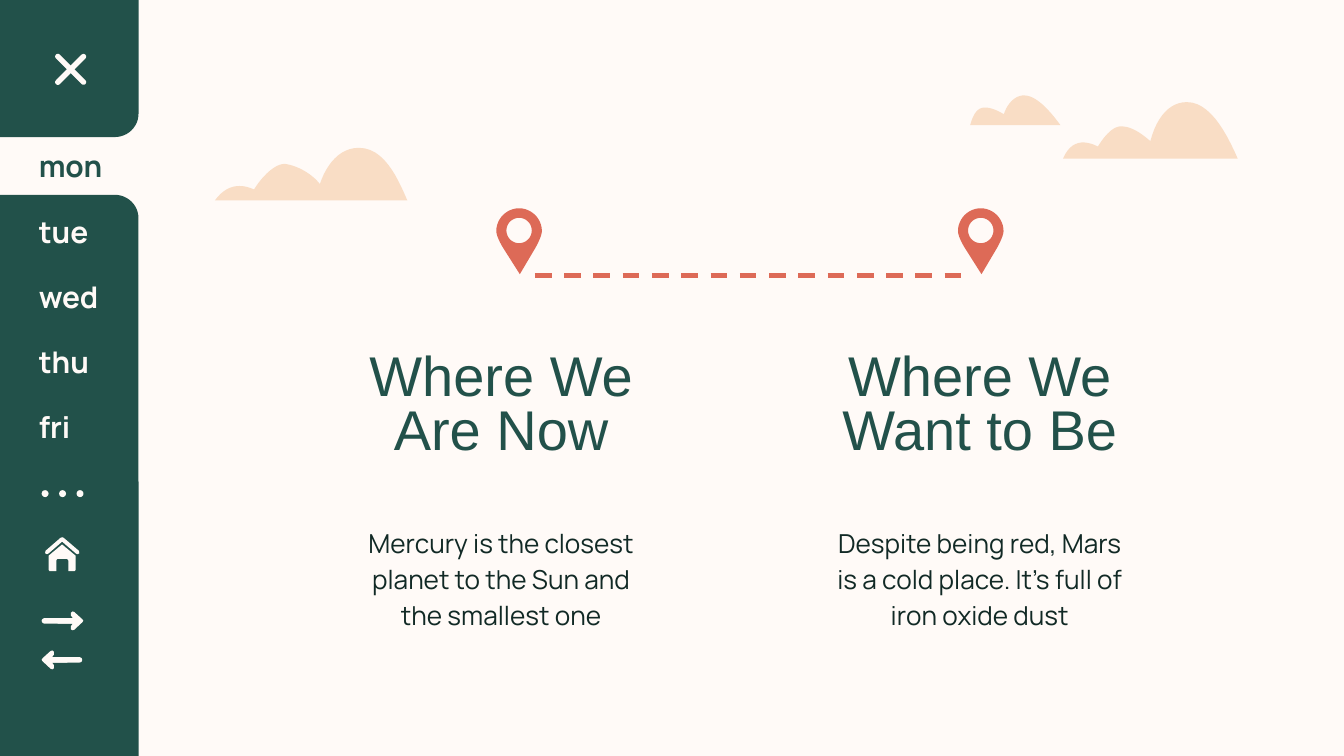
"""Build a weekly planner slide comparing where we are with where we want to be."""
from math import cos, pi, sin

from lxml import etree
from pptx import Presentation
from pptx.dml.color import RGBColor
from pptx.enum.dml import MSO_LINE
from pptx.enum.shapes import MSO_CONNECTOR, MSO_SHAPE
from pptx.enum.text import MSO_ANCHOR, MSO_AUTO_SIZE, PP_ALIGN
from pptx.oxml.ns import qn
from pptx.util import Pt

CENTER, LEFT = PP_ALIGN.CENTER, PP_ALIGN.LEFT
TOP, MIDDLE = MSO_ANCHOR.TOP, MSO_ANCHOR.MIDDLE
FIT, FIXED = MSO_AUTO_SIZE.TEXT_TO_FIT_SHAPE, MSO_AUTO_SIZE.NONE
ROUND, OVAL, CORNER = MSO_SHAPE.ROUNDED_RECTANGLE, MSO_SHAPE.OVAL, MSO_SHAPE.ROUND_1_RECTANGLE

COLORS = {"cream": "FFFAF7", "green": "22514A", "ink": "112925", "peach": "F9DDC5", "coral": "DD6A57"}
RGB = {name: RGBColor.from_string(value) for name, value in COLORS.items()}
TITLE = {
    "frame": {"vertical_anchor": TOP, "auto_size": FIT},
    "paragraph": {"alignment": CENTER, "line_spacing": 0.8},
    "font": {"name": "Arial", "size": Pt(30), "bold": False},
    "color": "green",
}
BODY = {
    "frame": {"vertical_anchor": TOP, "auto_size": FIT},
    "paragraph": {"alignment": CENTER, "line_spacing": 1.15, "space_after": Pt(16)},
    "font": {"name": "Manrope", "size": Pt(14), "bold": False},
    "color": "ink",
}
DAY = {
    "frame": {"vertical_anchor": MIDDLE, "auto_size": FIXED},
    "paragraph": {"alignment": LEFT},
    "font": {"name": "Manrope", "size": Pt(16), "bold": True},
    "color": "cream",
}


def write(sp, box, text, style, color=None):
    """Place a text shape and format its single paragraph."""
    sp.left, sp.top, sp.width, sp.height = map(Pt, box)
    tf = sp.text_frame
    tf.word_wrap = True
    for side in ("left", "right", "top", "bottom"):
        setattr(tf, f"margin_{side}", Pt(7.2))
    p = tf.paragraphs[0]
    r = p.add_run()
    r.text = text
    for target, key in ((tf, "frame"), (p, "paragraph"), (r.font, "font")):
        for name, value in style[key].items():
            setattr(target, name, value)
    r.font.color.rgb = RGB[color or style["color"]]


def outline(contours, color, dx=0, dy=0):
    """Draw closed contours made of points (2 numbers) and cubic curves (6 numbers)."""
    fb = None
    for start, *steps in contours:
        points, (x0, y0) = [], start
        for step in steps:
            if len(step) == 6:
                x1, y1, x2, y2, x3, y3 = step
                for t in (i / 12 for i in range(1, 13)):
                    a, b, c, d = (1 - t) ** 3, 3 * t * (1 - t) ** 2, 3 * t * t * (1 - t), t ** 3
                    points.append((a * x0 + b * x1 + c * x2 + d * x3, a * y0 + b * y1 + c * y2 + d * y3))
            else:
                points.append(step)
            x0, y0 = step[-2:]
        first = Pt(start[0] + dx), Pt(start[1] + dy)
        if fb is None:
            fb = s.shapes.build_freeform(*first)
        else:
            fb.move_to(*first)
        fb.add_line_segments([(Pt(x + dx), Pt(y + dy)) for x, y in points])
    sp = fb.convert_to_shape()
    sp.shadow.inherit = False
    sp.fill.solid()
    sp.fill.fore_color.rgb = RGB[color]
    sp.line.fill.background()


prs = Presentation()
prs.slide_width, prs.slide_height = Pt(720), Pt(405)
s = prs.slides.add_slide(prs.slide_layouts[5])
s.background.fill.solid()
s.background.fill.fore_color.rgb = RGB["cream"]

clouds = [
    [(115.2, 107.3), (121, 99.4, 128.2, 97.9, 136.1, 101.5), (141.1, 93.6, 147.6, 87.8, 152.6, 87.8),
     (158.4, 88.6, 166.3, 92.2, 171.4, 98.6), (175, 87.8, 182.2, 79.2, 192.2, 79.2),
     (205.2, 79.2, 212.4, 93.6, 218.2, 107.3)],
    [(519.8, 67), (522, 59, 524.9, 57.6, 527.8, 57.6), (530.6, 57.6, 534.2, 59, 537.8, 61.2),
     (540, 54.7, 544.3, 51.1, 548.6, 51.1), (555.1, 51.1, 562.3, 59, 568.1, 67)],
    [(569.5, 85), (573.8, 74.9, 581, 74.9, 588.2, 78.5), (592.6, 71.3, 596.9, 67.7, 600.5, 67.7),
     (606.2, 67.7, 611.3, 71.3, 616.3, 75.6), (619.9, 61.9, 627.1, 54.7, 635.8, 54.7),
     (647.3, 54.7, 655.9, 68.4, 663.1, 85)],
]
for cloud in clouds:
    outline([cloud], "peach")

shapes = [
    (CORNER, -1.4, -233.3, 75.6, 306.7, 180, 0.167, "green"),
    (CORNER, -1.4, 104.4, 75.6, 306.7, 0, 0.167, "green"),
    (ROUND, 26.7, 35.7, 22.3, 2.9, 45, 0.5, "cream"),
    (ROUND, 26.7, 35.7, 22.3, 2.9, 135, 0.5, "cream"),
    (ROUND, 22.3, 331.2, 20.2, 2.9, 0, 0.5, "cream"),
    (ROUND, 23.8, 352.1, 20.2, 2.9, 0, 0.5, "cream"),
    (ROUND, 31, 293.8, 5, 5, 0, 0.167, "cream"),
]
shapes += [(OVAL, 22.3 + 9.36 * i, 262.6, 3.7, 3.7, 0, None, "cream") for i in range(3)]
for kind, x, y, w, h, angle, adj, color in shapes:
    sp = s.shapes.add_shape(kind, Pt(x), Pt(y), Pt(w), Pt(h))
    sp.shadow.inherit = False
    sp.rotation = angle
    if adj is not None:
        sp.adjustments[0] = adj
    if angle == 180:
        sp.element.spPr.find(qn("a:xfrm")).set("flipH", "1")
    sp.fill.solid()
    sp.fill.fore_color.rgb = RGB[color]
    sp.line.fill.background()

pin = [(0, 0), (6.7, 0, 12.2, 5.5, 12.2, 12.2), (12.2, 15.3, 8.5, 21.6, 8.5, 21.6), (0.4, 35.3),
       (-8.3, 21.6), (-8.3, 21.6, -12.2, 15.5, -12.2, 12.2), (-12.2, 5.5, -6.7, 0, 0, 0)]
hole = [(6.8 * cos(i * pi / 18), 11.9 - 6.8 * sin(i * pi / 18)) for i in range(37)]
columns = [
    (185, 278.1, "Where We Are Now", "Mercury is the closest planet to the Sun and the smallest one"),
    (441.4, 525.4, "Where We Want to Be",
     "Despite being red, Mars is a cold place. It’s full of iron oxide dust"),
]
for i, (x, pin_x, title, body) in enumerate(columns):
    sp = s.shapes.add_textbox(0, 0, 0, 0) if i else s.shapes.title
    write(sp, (x, 182.2, 167, 74.9), title, TITLE)
    write(s.shapes.add_textbox(0, 0, 0, 0), (x, 272.9, 167, 88.6), body, BODY)
    outline([pin, hole], "coral", pin_x, 111.6)

route = s.shapes.add_connector(MSO_CONNECTOR.STRAIGHT, Pt(286.6), Pt(147.6), Pt(519.1), Pt(147.6))
route.line.color.rgb = RGB["coral"]
route.line.width = Pt(2.25)
route.line.dash_style = MSO_LINE.DASH
etree.SubElement(route.element.spPr, qn("a:effectLst"))

for i, day in enumerate(("mon", "tue", "wed", "thu", "fri")):
    box = (13.7, 73.4 + 34.92 * i, 49, 31)
    write(s.shapes.add_textbox(0, 0, 0, 0), box, day, DAY, "cream" if i else "green")

arrow = [(38.9, 327.6), (38, 328.3), (38, 329.8), (39, 331.2), (31, 331.2), (29.5, 332.6), (31, 334.1),
         (39, 334.1), (38, 335.5), (38, 337.2), (38.9, 337.7), (39.8, 337.4), (44.1, 333.4),
         (44.6, 332.6), (44.1, 331.8), (39.8, 327.9)]
outline([arrow], "cream")
outline([[(66.9 - x, y) for x, y in arrow]], "cream", dy=20.9)

roof = [(33.3, 287.8), (32.5, 288.1), (24.4, 295.1), (24.2, 296.4), (25.2, 296.9), (25.9, 296.6),
        (33.3, 290.2), (40.8, 296.6), (41.5, 296.9), (42.5, 296.4), (42.3, 295.1), (34.1, 288.1)]
house = [(33.3, 291.7), (26.1, 297.7), (26.1, 305.4), (26.6, 306), (30.2, 306), (30.2, 300.2),
         (30.8, 299.5), (36, 299.5), (36.6, 300.2), (36.6, 306), (40, 306), (40.5, 305.4), (40.5, 297.7)]
for part in (roof, house):
    outline([part], "cream")

prs.save("out.pptx")
